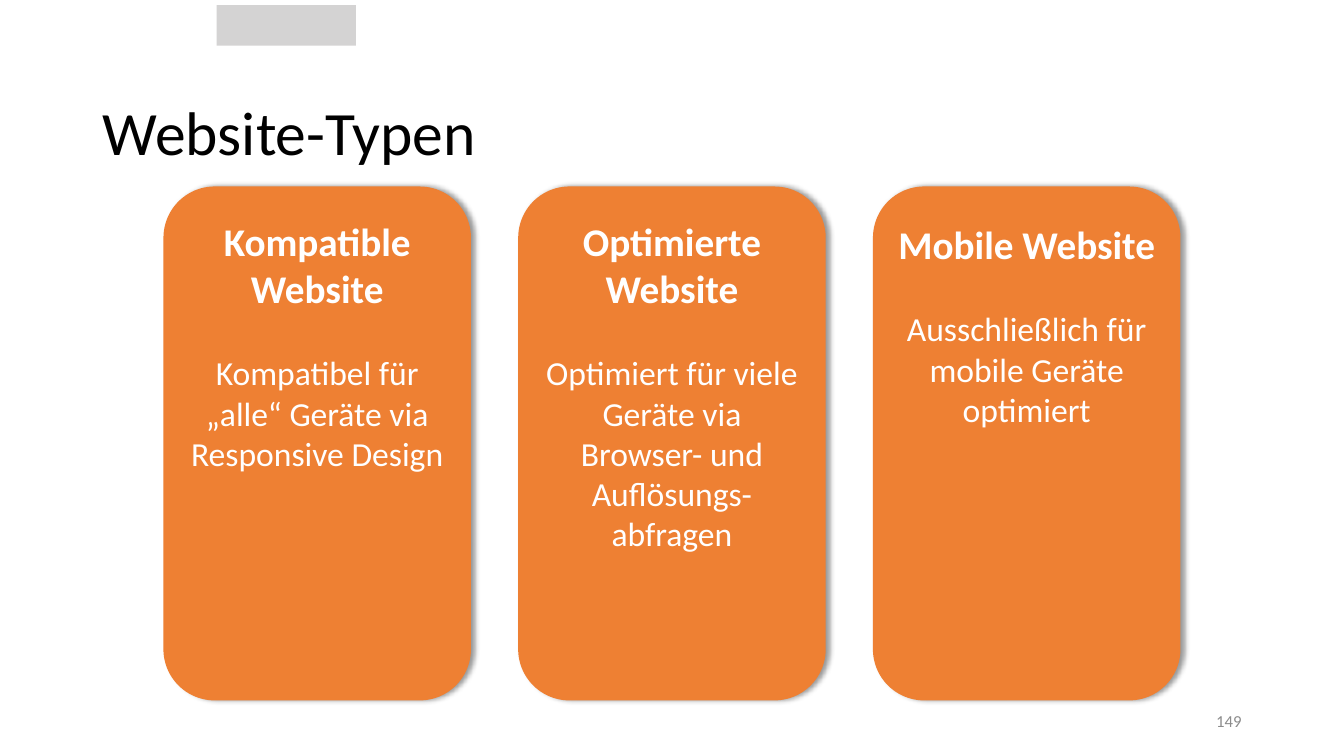
from lxml.etree import SubElement
from pptx import Presentation
from pptx.dml.color import RGBColor
from pptx.enum.shapes import MSO_SHAPE
from pptx.enum.text import MSO_ANCHOR, PP_ALIGN
from pptx.oxml.ns import qn
from pptx.util import Cm, Pt

BLACK = RGBColor(0x00, 0x00, 0x00)
WHITE = RGBColor(0xFF, 0xFF, 0xFF)
ORANGE = RGBColor(0xEE, 0x80, 0x33)
SILVER = RGBColor(0xD4, 0xD3, 0xD3)
GREY = RGBColor(0x8C, 0x8C, 0x8C)

CARDS = [
    ("Kompatible Website",
     ["Kompatibel für „alle“ Geräte via", "Responsive Design"], 0.4),
    ("Optimierte Website",
     ["Optimiert für viele Geräte via Browser- und Auflösungs-abfragen"], 0.4),
    ("Mobile Website",
     ["Ausschließlich für mobile Geräte optimiert"], 0.48),
]


class Deck:
    font = "Calibri"

    def __init__(self):
        self.show = Presentation()
        self.show.slide_width = Cm(33.87)
        self.show.slide_height = Cm(19.05)
        self.slide = self.show.slides.add_slide(self.show.slide_layouts[5])

    def label(self, para, text, size, color, align, bold=False):
        para.alignment = align
        run = para.add_run()
        run.text = text
        run.font.name = self.font
        run.font.size = Pt(size)
        run.font.bold = bold
        run.font.color.rgb = color

    def title(self, text, left, top, width, height):
        box = self.slide.shapes.title
        box.left, box.top = Cm(left), Cm(top)
        box.width, box.height = Cm(width), Cm(height)
        frame = box.text_frame
        frame.margin_top = Cm(1)
        frame.vertical_anchor = MSO_ANCHOR.MIDDLE
        para = frame.paragraphs[0]
        para.line_spacing = 0.9
        self.label(para, text, 44, BLACK, PP_ALIGN.LEFT)

    def block(self, kind, color, left, top, width, height):
        shape = self.slide.shapes.add_shape(
            kind, Cm(left), Cm(top), Cm(width), Cm(height))
        shape.shadow.inherit = False
        shape.fill.solid()
        shape.fill.fore_color.rgb = color
        shape.line.fill.background()
        return shape

    def shade(self, shape):
        effects = shape.element.spPr.find(qn("a:effectLst"))
        outer = SubElement(effects, qn("a:outerShdw"), blurRad=str(Pt(4)),
                           dist=str(Pt(3)), dir="0", algn="l", rotWithShape="0")
        color = SubElement(outer, qn("a:srgbClr"), val=str(BLACK))
        SubElement(color, qn("a:alpha"), val="40000")

    def card(self, head, body, inset, left, top, width, height):
        shape = self.block(MSO_SHAPE.ROUNDED_RECTANGLE, ORANGE,
                           left, top, width, height)
        self.shade(shape)
        frame = shape.text_frame
        frame.word_wrap = True
        frame.vertical_anchor = MSO_ANCHOR.TOP
        frame.margin_top = Cm(inset)
        self.label(frame.paragraphs[0], head, 28, WHITE, PP_ALIGN.CENTER, True)
        for i, text in enumerate(body):
            para = frame.add_paragraph()
            para.space_before = Pt(0 if i else 29)
            self.label(para, text, 24, WHITE, PP_ALIGN.CENTER)

    def number(self, text, left, top, width, height):
        box = self.slide.shapes.add_textbox(
            Cm(left), Cm(top), Cm(width), Cm(height))
        frame = box.text_frame
        frame.word_wrap = True
        frame.vertical_anchor = MSO_ANCHOR.MIDDLE
        self.label(frame.paragraphs[0], text, 12, GREY, PP_ALIGN.RIGHT)


def main():
    deck = Deck()
    deck.block(MSO_SHAPE.RECTANGLE, SILVER, 5.46, 0.13, 3.51, 1.02)
    deck.title("Website-Typen", 2.33, 1.27, 29.21, 3.43)
    deck.number("149", 23.92, 17.66, 7.62, 1.01)
    for i, (head, body, inset) in enumerate(CARDS):
        deck.card(head, body, inset, 4.12 + i * 8.94, 4.7, 7.75, 12.95)
    deck.show.save("out.pptx")


if __name__ == "__main__":
    main()
